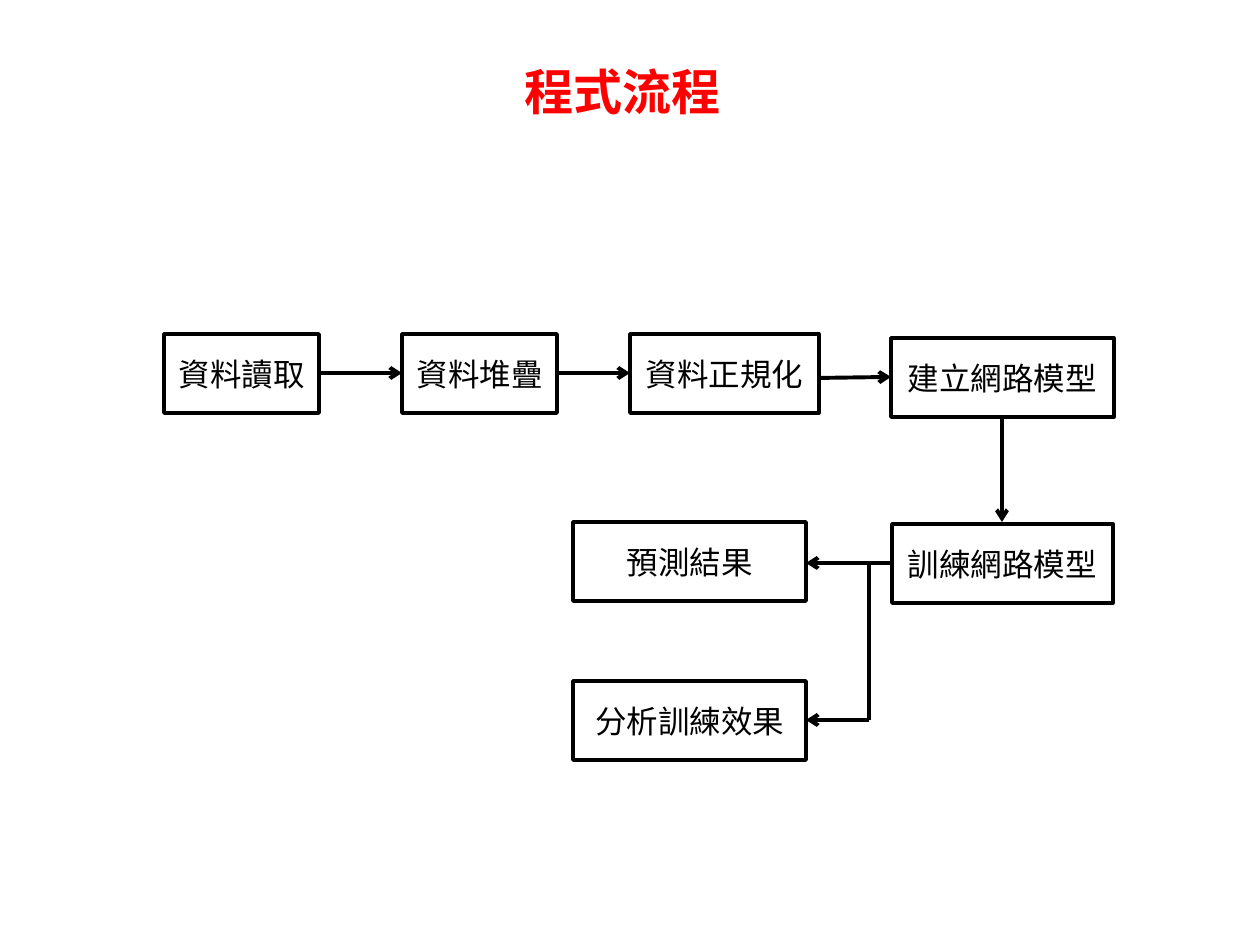
from dataclasses import dataclass

from lxml import etree
from pptx import Presentation
from pptx import util as u
from pptx.dml.color import RGBColor
from pptx.enum import shapes, text
from pptx.oxml.ns import qn

SCALE = 914400 // 126


@dataclass(frozen=True)
class Theme:
    font: str = "Noto Sans CJK SC"
    title: str = "FF0000"
    ink: str = "000000"
    paper: str = "FFFFFF"
    title_size: int = 28
    body_size: int = 18
    box_line: float = 2
    arrow_line: float = 2.25


T = Theme()
BOX_H = 79


def px(*values):
    return [u.Emu(v * SCALE) for v in values]


def rgb(value):
    return RGBColor.from_string(value)


def write(tf, content, size=T.body_size, color=T.ink, bold=False,
          align=text.PP_ALIGN.CENTER, anchor=text.MSO_ANCHOR.MIDDLE, wrap=True):
    tf.word_wrap = wrap
    tf.vertical_anchor = anchor
    p = tf.paragraphs[0]
    p.alignment = align
    r = p.add_run()
    r.text = content
    r.font.name = T.font
    r.font.size = u.Pt(size)
    r.font.bold = bold
    r.font.color.rgb = rgb(color)
    etree.SubElement(r.font._element, qn("a:ea"), typeface=T.font)


def add_title(s, content, left, top, width, height):
    tf = s.shapes.add_textbox(*px(left, top, width, height)).text_frame
    tf.auto_size = text.MSO_AUTO_SIZE.SHAPE_TO_FIT_TEXT
    write(tf, content, size=T.title_size, color=T.title, bold=True,
          align=text.PP_ALIGN.LEFT, anchor=text.MSO_ANCHOR.TOP, wrap=False)


def add_box(s, content, left, top, width):
    sp = s.shapes.add_shape(shapes.MSO_SHAPE.RECTANGLE,
                            *px(left, top, width, BOX_H))
    sp.shadow.inherit = False
    sp.fill.solid()
    sp.fill.fore_color.rgb = rgb(T.paper)
    sp.line.color.rgb = rgb(T.ink)
    sp.line.width = u.Pt(T.box_line)
    write(sp.text_frame, content)


def add_line(s, x1, y1, x2, y2, arrow=True):
    c = s.shapes.add_connector(shapes.MSO_CONNECTOR.STRAIGHT,
                               *px(x1, y1, x2, y2))
    c.line.color.rgb = rgb(T.ink)
    c.line.width = u.Pt(T.arrow_line)
    if arrow:
        etree.SubElement(c.line._get_or_add_ln(), qn("a:tailEnd"), type="arrow")
    etree.SubElement(c._element.spPr, qn("a:effectLst"))


def main():
    prs = Presentation()
    prs.slide_width, prs.slide_height = px(1260, 945)
    s = prs.slides.add_slide(prs.slide_layouts[6])

    add_title(s, "程式流程", 512, 55, 223, 72)

    result_x, result_w = 573, 233
    for box in (
        ("資料讀取", 164, 334, 155),
        ("資料堆疊", 402, 334, 155),
        ("資料正規化", 630, 334, 189),
        ("建立網路模型", 891, 338, 223),
        ("訓練網路模型", 892, 524, 221),
        ("預測結果", result_x, 522, result_w),
        ("分析訓練效果", result_x, 681, result_w),
    ):
        add_box(s, *box)

    for ends in (
        (318, 373, 402, 373),
        (555, 373, 630, 373),
        (818, 378, 891, 377),
        (1002, 417, 1002, 522),
    ):
        add_line(s, *ends)

    branch_x, predict_y, analyse_y = 869, 563, 720
    result_right = result_x + result_w
    add_line(s, 891, predict_y, result_right, predict_y)
    add_line(s, branch_x, predict_y, branch_x, analyse_y, arrow=False)
    add_line(s, branch_x, analyse_y, result_right, analyse_y)

    prs.save("out.pptx")


main()
